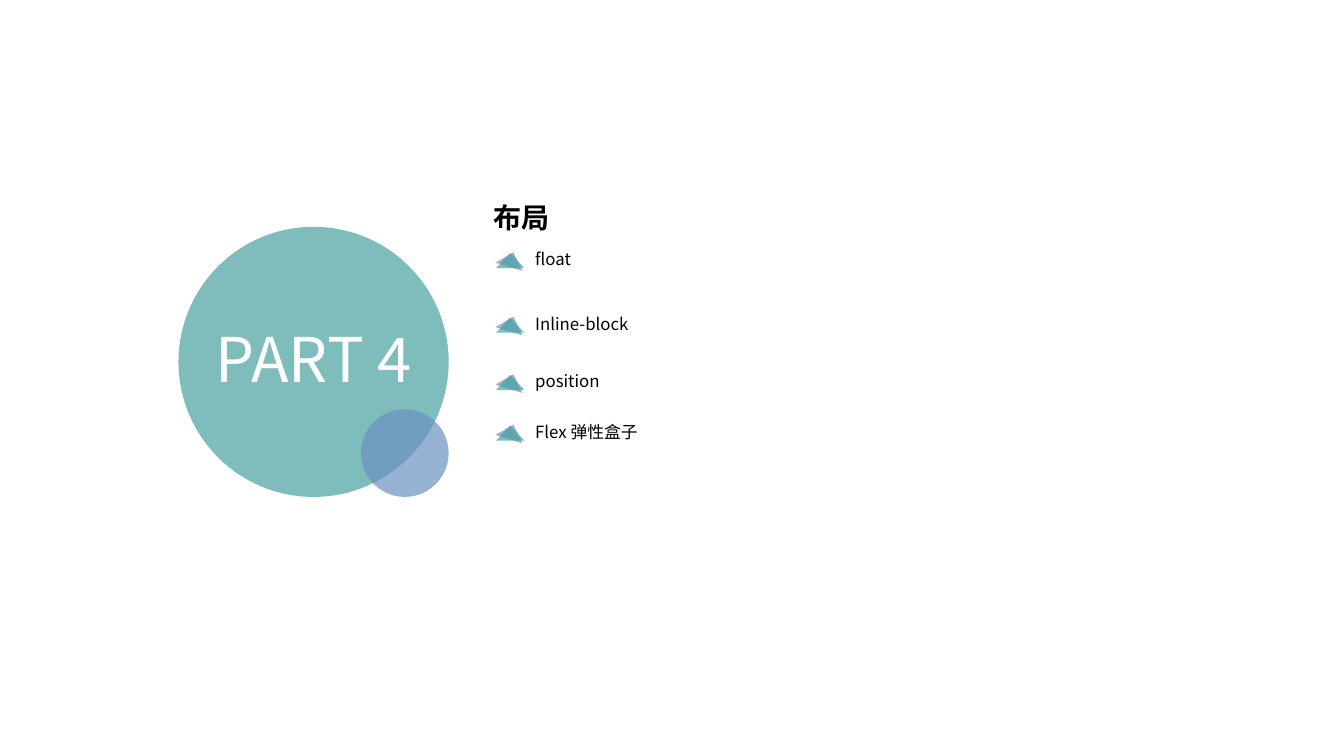
from lxml.etree import SubElement as Sub
from pptx import Presentation
from pptx.dml.color import RGBColor
from pptx.enum.shapes import MSO_SHAPE as Kind
from pptx.enum.text import MSO_ANCHOR as Anchor, MSO_AUTO_SIZE as Fit, PP_ALIGN as Align
from pptx.oxml.ns import qn
from pptx.util import Inches, Pt

TEAL = RGBColor(0x48, 0xA2, 0xA0)
BLUE = RGBColor(0x6C, 0x92, 0xC0)
WHITE = RGBColor(0xFF, 0xFF, 0xFF)
BLACK = RGBColor(0, 0, 0)
FACE = "Noto Sans CJK SC"
ITEMS = [("float", 2.42), ("Inline-block", 3.06), ("position", 3.63), ("Flex 弹性盒子", 4.13)]


def apply(obj, form):
    for key, val in form.items():
        setattr(obj, key, val)


def tint(shape, color):
    shape.shadow.inherit = False
    shape.fill.solid()
    shape.fill.fore_color.rgb = color
    shape.line.fill.background()
    tone = shape.fill._xPr.find(".//" + qn("a:srgbClr"))
    Sub(tone, qn("a:alpha"), val="70000")


def write(shape, text, size, color=BLACK, bold=False, align=Align.LEFT, wrap=True, fit=Fit.NONE):
    frame = shape.text_frame
    apply(frame, {"word_wrap": wrap, "auto_size": fit, "vertical_anchor": Anchor.TOP})
    para = frame.paragraphs[0]
    para.alignment = align
    run = para.add_run()
    run.text = text
    apply(run.font, {"name": FACE, "size": Pt(size), "bold": bold})
    run.font.color.rgb = color
    Sub(run._r.get_or_add_rPr(), qn("a:ea"), typeface=FACE)


def add_disc(shapes, left, top, size, color):
    disc = shapes.add_shape(Kind.OVAL, Inches(left), Inches(top), Inches(size), Inches(size))
    tint(disc, color)


def add_badge(shapes, left, top, size):
    small = 0.87
    add_disc(shapes, left, top, size, TEAL)
    add_disc(shapes, left + size - small, top + size - small, small, BLUE)
    label = shapes.add_textbox(Inches(left - 0.82), Inches(top + 0.88), Inches(4.33), Inches(0.93))
    write(label, "PART 4", 44, WHITE, align=Align.CENTER)


def add_head(title, left, top, width, height):
    apply(title, {"left": Inches(left), "top": Inches(top),
                  "width": Inches(width), "height": Inches(height)})
    write(title, "布局", 20, bold=True, wrap=False, fit=Fit.SHAPE_TO_FIT_TEXT)


def add_peak(shapes, left, top, color, turn):
    width, height = 0.28, 0.15
    pen = shapes.build_freeform(Inches(left + width / 2), Inches(top))
    pen.add_line_segments([(Inches(left + width), Inches(top + height)),
                           (Inches(left), Inches(top + height))], close=True)
    peak = pen.convert_to_shape()
    peak.rotation = turn
    tint(peak, color)


def add_item(shapes, text, left, top):
    group = shapes.add_group_shape().shapes
    label = group.add_textbox(Inches(left + 0.29), Inches(top), Inches(2.58), Inches(0.3))
    write(label, text, 12, fit=Fit.SHAPE_TO_FIT_TEXT)
    add_peak(group, left + 0.01, top + 0.08, BLUE, 17.1)
    add_peak(group, left, top + 0.09, TEAL, 0)


def main():
    deck = Presentation()
    apply(deck, {"slide_width": Inches(13.33), "slide_height": Inches(7.5)})
    slide = deck.slides.add_slide(deck.slide_layouts[5])
    add_badge(slide.shapes, 1.77, 2.25, 2.68)
    add_head(slide.shapes.title, 4.79, 1.94, 0.77, 0.44)
    for text, top in ITEMS:
        add_item(slide.shapes, text, 4.92, top)
    deck.save("out.pptx")


if __name__ == "__main__":
    main()
